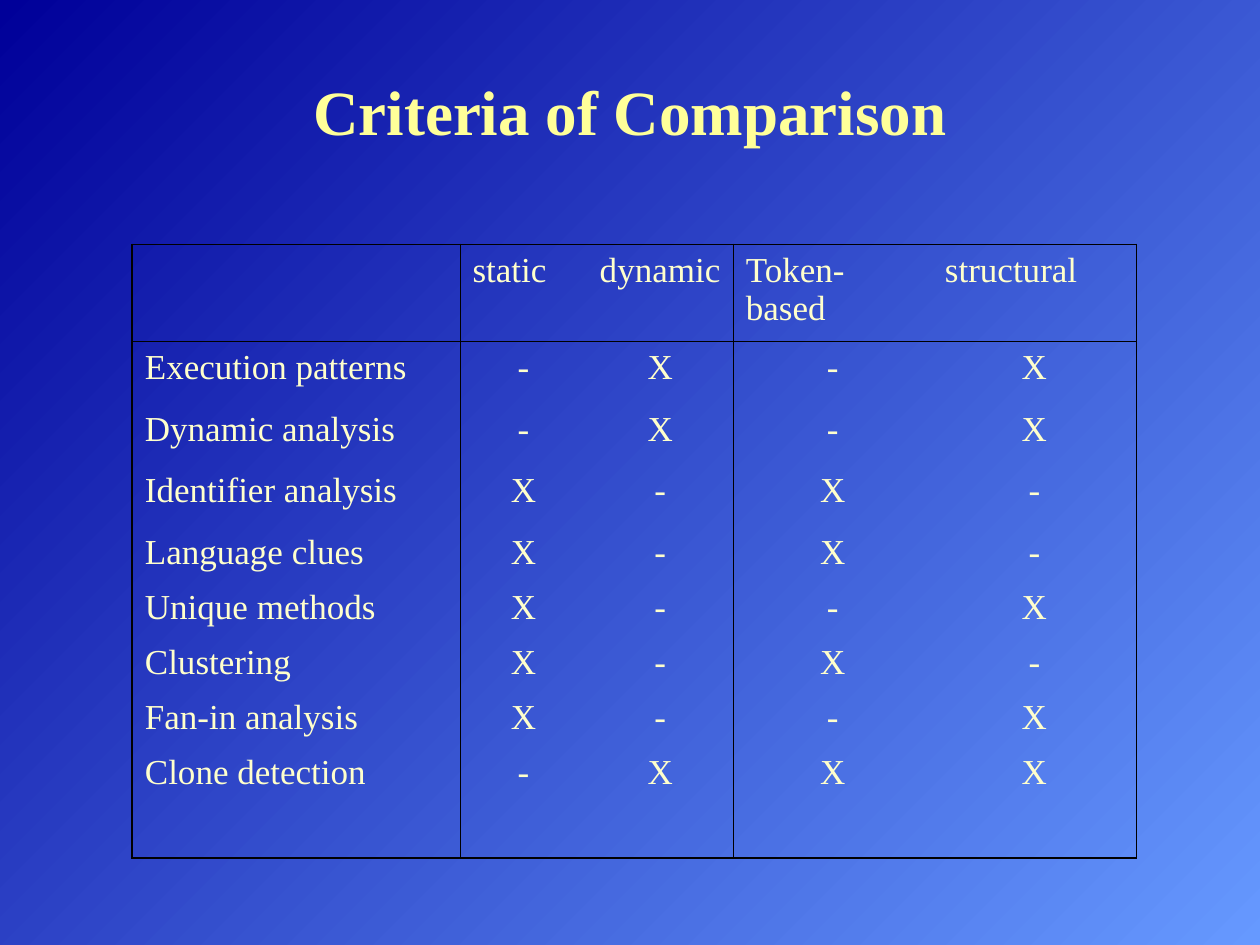
from dataclasses import dataclass

from lxml.etree import SubElement
from pptx import Presentation
from pptx.dml.color import RGBColor as RGB
from pptx.enum.text import MSO_ANCHOR as Anchor, PP_ALIGN as Align
from pptx.oxml.ns import qn
from pptx.util import Inches, Pt

GRID_COLUMNS, GRID_ROWS = 100, 75
NO_GRID_STYLE = "{2D5ABB26-0587-4C30-8999-92F81FD0307C}"

HEADINGS = ["", "static", "dynamic", "Token-based", "structural"]
TECHNIQUES = {
    "Execution patterns": "-X-X",
    "Dynamic analysis": "-X-X",
    "Identifier analysis": "X-X-",
    "Language clues": "X-X-",
    "Unique methods": "X--X",
    "Clustering": "X-X-",
    "Fan-in analysis": "X--X",
    "Clone detection": "-XXX",
}


@dataclass(frozen=True)
class Theme:
    font: str = "Times New Roman"
    title_color: str = "FFFF99"
    text_color: str = "FFFFCC"
    line_color: str = "000000"
    gradient: tuple = ("6699FF", "000099")
    gradient_angle: int = 135
    title_size: int = 36
    text_size: int = 20
    space_before: int = 5
    outer_line: float = 1.08
    inner_line: float = 0.45


def write(frame, text, *, font, size, color, bold=False, align=Align.LEFT, before=0):
    paragraph = frame.paragraphs[0]
    paragraph.alignment = align
    paragraph.space_before = Pt(before)
    run = paragraph.add_run()
    run.text = text
    run.font.name, run.font.size, run.font.bold = font, Pt(size), bold
    run.font.color.rgb = RGB.from_string(color)


def draw_border(cell, side, width, color):
    """Draw one cell side (L, R, T or B); a zero width hides it."""
    line = SubElement(cell._tc.get_or_add_tcPr(), qn(f"a:ln{side}"), w=str(Pt(width)))
    if width:
        fill = SubElement(line, qn("a:solidFill"))
        SubElement(fill, qn("a:srgbClr"), val=color)
    else:
        SubElement(line, qn("a:noFill"))


class Deck:
    def __init__(self, theme):
        self.theme = theme
        self.presentation = Presentation()
        self.presentation.slide_width = Inches(10)
        self.presentation.slide_height = Inches(7.5)
        self.slide = None

    def x(self, columns):
        return round(self.presentation.slide_width * columns / GRID_COLUMNS)

    def y(self, rows):
        return round(self.presentation.slide_height * rows / GRID_ROWS)

    def add_slide(self):
        title_only = self.presentation.slide_layouts[5]
        self.slide = self.presentation.slides.add_slide(title_only)
        fill = self.slide.background.fill
        fill.gradient()
        fill.gradient_angle = self.theme.gradient_angle
        for stop, color in zip(fill.gradient_stops, self.theme.gradient):
            stop.color.rgb = RGB.from_string(color)

    def title(self, text, left, top, width, height):
        heading = self.slide.shapes.title
        heading.left, heading.top = self.x(left), self.y(top)
        heading.width, heading.height = self.x(width), self.y(height)
        heading.text_frame.vertical_anchor = Anchor.MIDDLE
        write(heading.text_frame, text, font=self.theme.font,
              size=self.theme.title_size, color=self.theme.title_color,
              bold=True, align=Align.CENTER)

    def table(self, rows, left, top, widths, heights, column_rules, row_rules):
        """Add a table ruled only at the given column and row edges."""
        frame = self.slide.shapes.add_table(
            len(heights), len(widths), self.x(left), self.y(top),
            self.x(sum(widths)), self.y(sum(heights)))
        table = frame.table
        table.first_row = table.horz_banding = False
        table._tbl.tblPr.find(qn("a:tableStyleId")).text = NO_GRID_STYLE
        for column, width in zip(table.columns, widths):
            column.width = self.x(width)
        for row, height in zip(table.rows, heights):
            row.height = self.y(height)

        for r, texts in enumerate(rows):
            for c, text in enumerate(texts):
                cell = table.cell(r, c)
                edges = (("L", c, column_rules), ("R", c + 1, column_rules),
                         ("T", r, row_rules), ("B", r + 1, row_rules))
                for side, edge, rules in edges:
                    draw_border(cell, side, self.rule_width(edge, rules),
                                self.theme.line_color)
                cell.fill.background()
                if text:
                    is_mark = r > 0 and c > 0
                    write(cell.text_frame, text, font=self.theme.font,
                          size=self.theme.text_size, color=self.theme.text_color,
                          align=Align.CENTER if is_mark else Align.LEFT,
                          before=self.theme.space_before)

    def rule_width(self, edge, rules):
        if edge not in rules:
            return 0
        is_outer = edge in (rules[0], rules[-1])
        return self.theme.outer_line if is_outer else self.theme.inner_line

    def save(self):
        self.presentation.save("out.pptx")


def main():
    deck = Deck(Theme())
    deck.add_slide()
    deck.title("Criteria of Comparison", left=7.5, top=2.5, width=85, height=12.5)

    body = [[technique, *marks] for technique, marks in TECHNIQUES.items()]
    rows = [HEADINGS, *body, [""] * len(HEADINGS)]
    deck.table(rows, left=10.5, top=19.4,
               widths=[26, 10.1, 11.6, 15.8, 16.2],
               heights=[7.7] + [4.92] * 3 + [4.37] * 5 + [4.4],
               column_rules=(0, 1, 3, 5), row_rules=(0, 1, len(rows)))
    deck.save()


if __name__ == "__main__":
    main()
